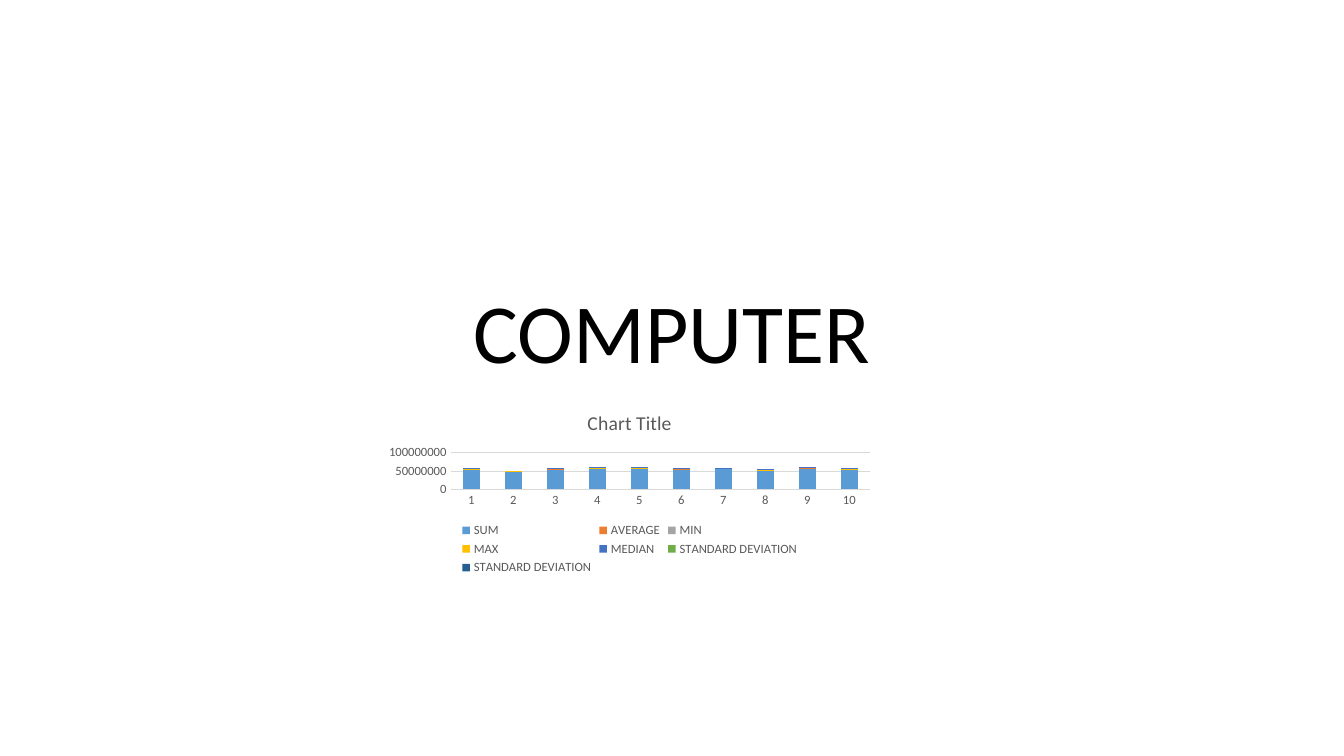
from dataclasses import dataclass

from pptx import Presentation
from pptx.chart.data import CategoryChartData
from pptx.dml.color import RGBColor
from pptx.enum.chart import XL_CHART_TYPE as ChartType
from pptx.enum.chart import XL_LEGEND_POSITION as LegendPosition
from pptx.enum.chart import XL_TICK_MARK as TickMark
from pptx.enum.text import MSO_ANCHOR as Anchor
from pptx.enum.text import PP_ALIGN as Align
from pptx.util import Inches, Pt

# Content
TITLE = "COMPUTER"
CHART_TITLE = "Chart Title"
CATEGORIES = [str(number) for number in range(1, 11)]
MILLION = 1_000_000
SERIES = [  # name, values in millions, colour
    ("SUM", [54, 49, 55, 57, 57, 55, 56, 52, 58, 54], "5B9BD5"),
    ("AVERAGE", [1, 0] + [1] * 8, "ED7D31"),
    ("MIN", [0] * 10, "A5A5A5"),
    ("MAX", [1] * 10, "FFC000"),
    ("MEDIAN", [1, 0] + [1] * 8, "4472C4"),
    ("STANDARD DEVIATION", [0] * 10, "70AD47"),
    ("STANDARD DEVIATION", [0] * 10, "255E91"),
]

# Places: left, top, width, height as shares of the slide
WIDTH, HEIGHT = Inches(13.33), Inches(7.5)
TITLE_PLACE = (1 / 8, 0.164, 3 / 4, 0.348)
CHART_PLACE = (0.282, 0.525, 0.373, 0.241)


@dataclass(frozen=True)
class Theme:
    font: str = "Calibri"
    ink: str = "000000"
    muted: str = "595959"
    rule: str = "D9D9D9"
    title_size: int = 60
    chart_title_size: int = 14
    label_size: int = 9
    rule_width: float = 0.75


THEME = Theme()


def place(shares):
    return [int(share * side) for share, side in zip(shares, (WIDTH, HEIGHT) * 2)]


def style_font(font, size, color):
    font.name, font.size, font.bold = THEME.font, Pt(size), False
    font.color.rgb = RGBColor.from_string(color)


def write_text(frame, text, *, size, color, align=Align.CENTER, spacing=None):
    para = frame.paragraphs[0]
    para.alignment, para.line_spacing = align, spacing
    span = para.add_run()
    span.text = text
    style_font(span.font, size, color)


def draw_rule(line):
    line.color.rgb = RGBColor.from_string(THEME.rule)
    line.width = Pt(THEME.rule_width)


def add_title(page):
    title = page.shapes.title
    title.left, title.top, title.width, title.height = place(TITLE_PLACE)
    title.text_frame.vertical_anchor = Anchor.BOTTOM
    write_text(title.text_frame, TITLE, size=THEME.title_size,
               color=THEME.ink, spacing=0.9)


def add_statistics_chart(page):
    data = CategoryChartData(number_format="General")
    data.categories = CATEGORIES
    for name, values, _ in SERIES:
        data.add_series(name, [value * MILLION for value in values])
    chart = page.shapes.add_chart(
        ChartType.COLUMN_STACKED, *place(CHART_PLACE), data).chart
    style_font(chart.font, 10, THEME.ink)
    chart.has_title = True
    write_text(chart.chart_title.text_frame, CHART_TITLE,
               size=THEME.chart_title_size, color=THEME.muted)
    chart.chart_title.include_in_layout = False

    # Columns
    plot = chart.plots[0]
    plot.gap_width, plot.overlap, plot.vary_by_categories = 150, 100, False
    for series, (_, _, color) in zip(plot.series, SERIES):
        series.format.fill.solid()
        series.format.fill.fore_color.rgb = RGBColor.from_string(color)

    # Axes and legend
    for axis in (chart.category_axis, chart.value_axis):
        axis.major_tick_mark = axis.minor_tick_mark = TickMark.NONE
        style_font(axis.tick_labels.font, THEME.label_size, THEME.muted)
    draw_rule(chart.category_axis.format.line)
    chart.value_axis.format.line.fill.background()
    chart.value_axis.has_major_gridlines = True
    draw_rule(chart.value_axis.major_gridlines.format.line)
    chart.has_legend = True
    chart.legend.position = LegendPosition.BOTTOM
    chart.legend.include_in_layout = False
    style_font(chart.legend.font, THEME.label_size, THEME.muted)


def main():
    deck = Presentation()
    deck.slide_width, deck.slide_height = WIDTH, HEIGHT
    page = deck.slides.add_slide(deck.slide_layouts.get_by_name("Title Only"))
    add_title(page)
    add_statistics_chart(page)
    deck.save("out.pptx")


if __name__ == "__main__":
    main()
